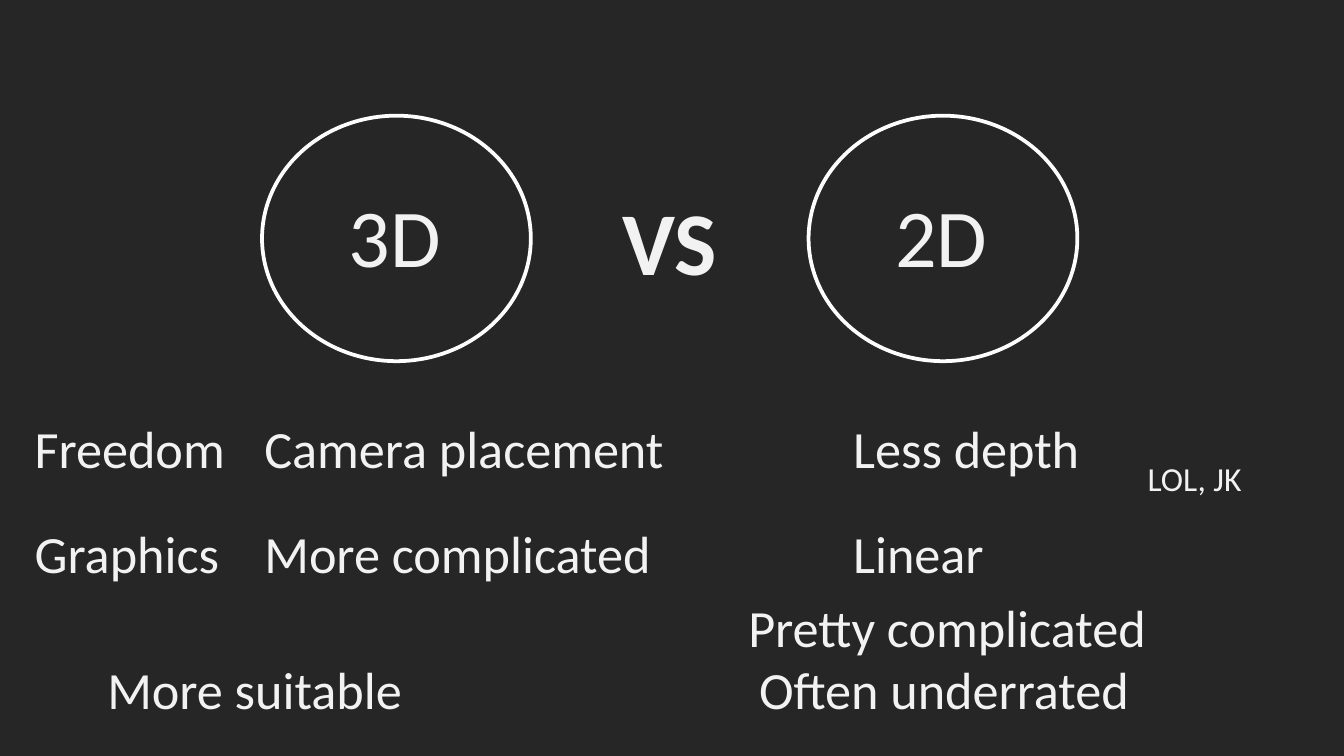
from pptx import Presentation
from pptx.dml.color import RGBColor
from pptx.enum.shapes import MSO_SHAPE
from pptx.enum.text import MSO_AUTO_SIZE
from pptx.util import Pt

PALE = "F2F2F2"


def color(code):
    return RGBColor.from_string(code)


def ring(slide, left):
    oval = slide.shapes.add_shape(
        MSO_SHAPE.OVAL, Pt(left), Pt(62), Pt(144), Pt(131.5))
    oval.shadow.inherit = False
    oval.fill.background()
    oval.line.color.rgb = color("FFFFFF")
    oval.line.width = Pt(2)


def label(slide, text, left, top, width, height=41, size=28, bold=False, wrap=False):
    box = slide.shapes.add_textbox(Pt(left), Pt(top), Pt(width), Pt(height))
    frame = box.text_frame
    frame.word_wrap = wrap
    frame.auto_size = MSO_AUTO_SIZE.SHAPE_TO_FIT_TEXT
    run = frame.paragraphs[0].add_run()
    run.text = text
    run.font.name = "Calibri"
    run.font.size = Pt(size)
    run.font.bold = bold
    run.font.color.rgb = color(PALE)


def main():
    deck = Presentation()
    deck.slide_width, deck.slide_height = Pt(720), Pt(405)
    slide = deck.slides.add_slide(deck.slide_layouts[6])
    slide.background.fill.solid()
    slide.background.fill.fore_color.rgb = color("262626")

    for text, left in (("3D", 140.4), ("2D", 433.2)):
        ring(slide, left)
        label(slide, text, left + 39.3, 95.8, 64, 60.5, 44)
    label(slide, "VS", 326.2, 95.8, 65.5, 65.5, 48, bold=True)

    columns = (
        (11.5, (("Freedom", 117.4), ("Graphics", 114.5))),
        (134.6, (("Camera placement", 230.4), ("More complicated", 224))),
        (450, (("Less depth", 136.8), ("Linear", 85))),
    )
    for left, items in columns:
        for row, (text, width) in enumerate(items):
            label(slide, text, left, 219.6 + 56.2 * row, width)

    label(slide, "More suitable", 50.4, 348.5, 174.2)
    label(slide, "Often underrated", 399.6, 348.5, 232.6, wrap=True)
    label(slide, "LOL, JK", 607.7, 241.9, 65.5, 29, 18)
    label(slide, "Pretty complicated", 393.8, 315.4, 286.6, wrap=True)
    deck.save("out.pptx")


if __name__ == "__main__":
    main()
